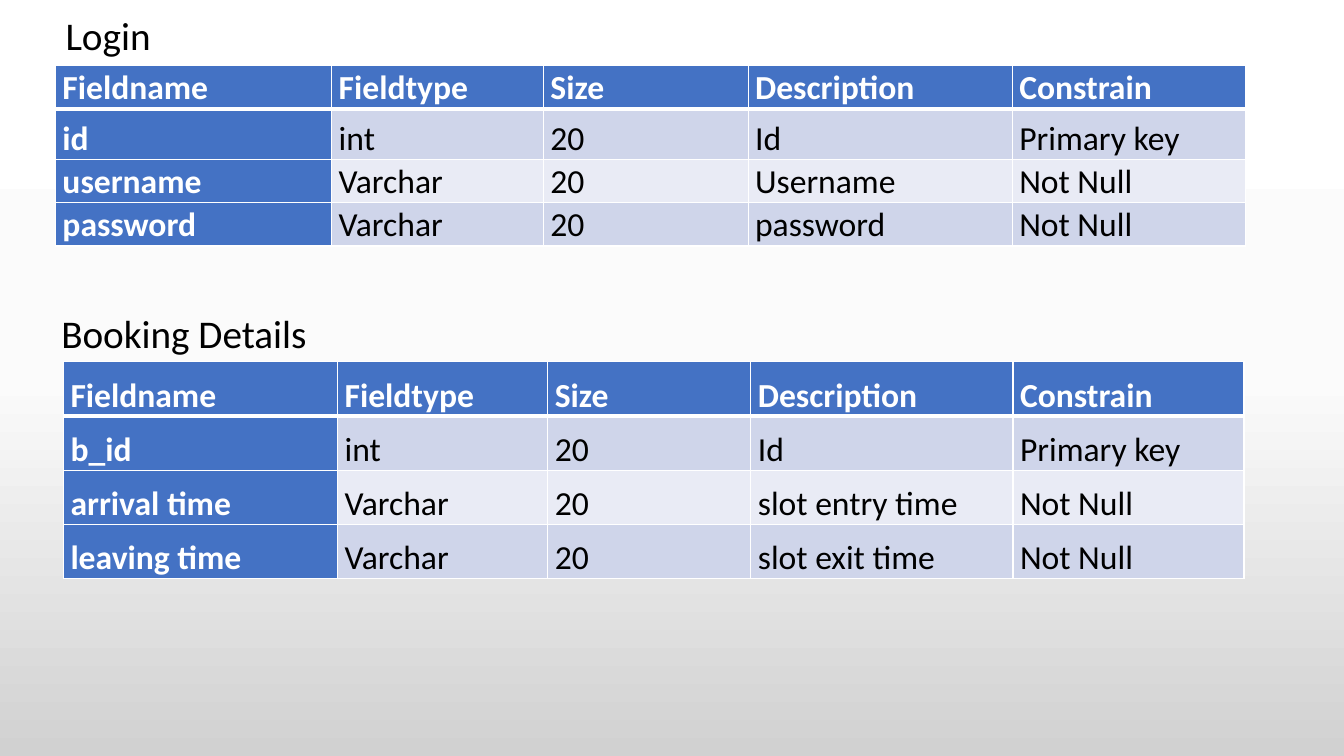
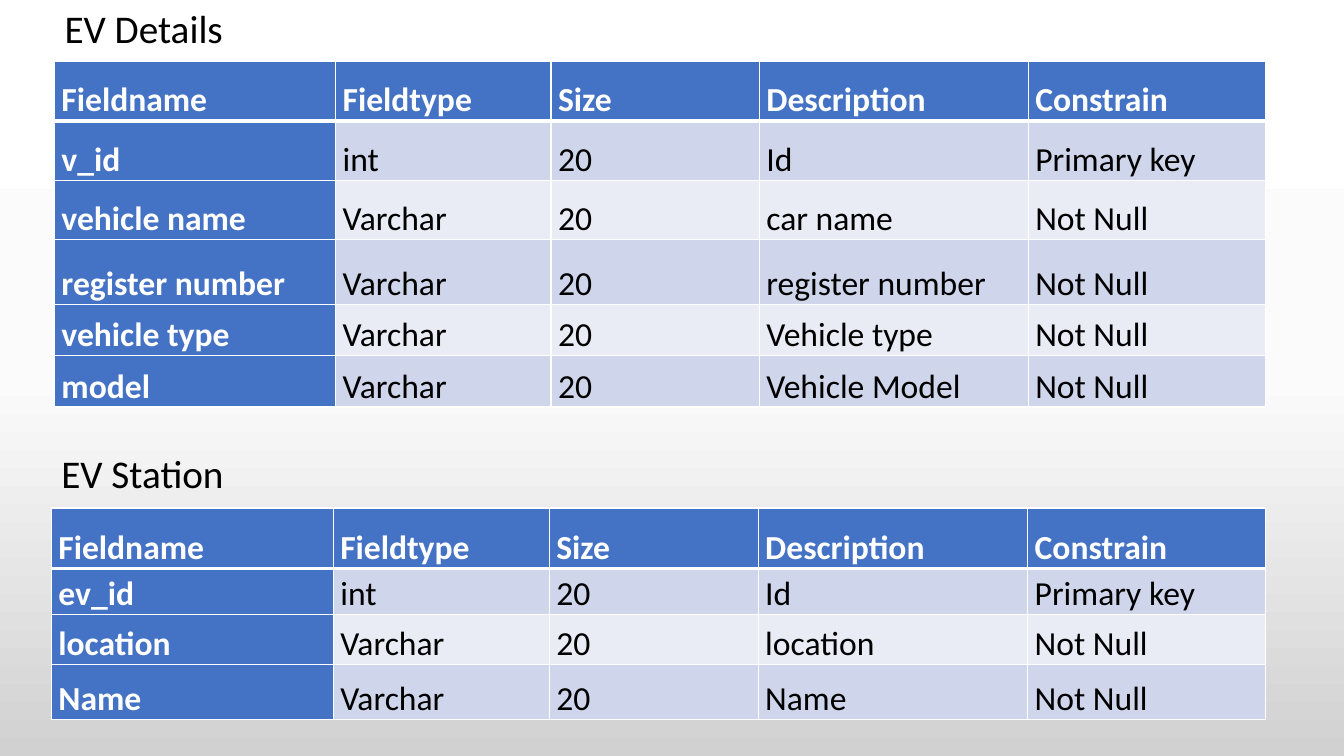
from copy import deepcopy

from pptx import Presentation
from pptx.dml.color import RGBColor
from pptx.enum.text import MSO_ANCHOR, MSO_AUTO_SIZE, PP_ALIGN
from pptx.oxml.ns import qn
from pptx.util import Inches, Pt
from lxml.etree import SubElement

FONT = "Calibri"
BLACK = RGBColor(0x00, 0x00, 0x00)
WHITE = RGBColor(0xFF, 0xFF, 0xFF)
BLUE = RGBColor(0x44, 0x72, 0xC4)
BAND_DARK = RGBColor(0xCF, 0xD5, 0xEA)
BAND_LIGHT = RGBColor(0xE9, 0xEB, 0xF5)
BACKGROUND = (
    (0, WHITE),
    (0.5, RGBColor(0xFB, 0xFB, 0xFB)),
    (1, RGBColor(0xD1, 0xD1, 0xD1)),
)
HEADER = ("Fieldname", "Fieldtype", "Size", "Description", "Constrain")
COLUMN_WEIGHTS = (2.74, 2.1, 2.03, 2.62, 2.31)
THIN, THICK = 1, 3

LOGIN = (("id", "Id"), ("username", "Username"), ("password", "password"))
BOOKING = (
    ("b_id", "Id"),
    ("arrival time", "slot entry time"),
    ("leaving time", "slot exit time"),
)
EV_DETAILS = (
    ("v_id", "Id"),
    ("vehicle name", "car name"),
    ("register number", "register number"),
    ("vehicle type", "Vehicle type"),
    ("model", "Vehicle Model"),
)
EV_STATION = (("ev_id", "Id"), ("location", "location"), ("Name", "Name"))


def set_background(master):
    fill = master.background.fill
    fill.gradient()
    fill.gradient_angle = 270
    stops = master.element.find(".//" + qn("a:gsLst"))
    stops.insert(1, deepcopy(stops[0]))
    for stop, (position, color) in zip(fill.gradient_stops, BACKGROUND):
        stop.position = position
        stop.color.rgb = color


def write_text(tf, text, size=24, color=BLACK, bold=False, spacing=None):
    p = tf.paragraphs[0]
    p.alignment = PP_ALIGN.LEFT
    p.line_spacing = spacing
    r = p.add_run()
    r.text = text
    r.font.name = FONT
    r.font.size = Pt(size)
    r.font.bold = bold
    r.font.color.rgb = color


def set_heading(sp, text, left, top, width, height):
    sp.left, sp.top = Inches(left), Inches(top)
    sp.width, sp.height = Inches(width), Inches(height)
    tf = sp.text_frame
    tf.word_wrap = True
    tf.auto_size = MSO_AUTO_SIZE.NONE
    tf.vertical_anchor = MSO_ANCHOR.MIDDLE
    write_text(tf, text, size=28, spacing=0.9)


def add_title(s, text, *box):
    set_heading(s.shapes.title, text, *box)


def add_heading(s, text, *box):
    set_heading(s.shapes.add_textbox(0, 0, 0, 0), text, *box)


def set_borders(cell, top, bottom):
    tc_pr = cell._tc.get_or_add_tcPr()
    for side, width in (("L", THIN), ("R", THIN), ("T", top), ("B", bottom)):
        line = SubElement(tc_pr, qn(f"a:ln{side}"), w=str(Pt(width)))
        fill = SubElement(line, qn("a:solidFill"))
        SubElement(fill, qn("a:srgbClr"), val=str(WHITE))


def format_cell(cell, text, row, col):
    emphasized = row == 0 or col == 0
    set_borders(cell, THICK if row == 1 else THIN, THICK if row == 0 else THIN)
    cell.fill.solid()
    band = BAND_DARK if row % 2 else BAND_LIGHT
    cell.fill.fore_color.rgb = BLUE if emphasized else band
    cell.vertical_anchor = MSO_ANCHOR.BOTTOM
    cell.margin_left = cell.margin_right = Inches(0.07)
    cell.margin_top = cell.margin_bottom = 0
    write_text(cell.text_frame, text, color=WHITE if emphasized else BLACK, bold=emphasized)


def field_rows(fields):
    rows = [HEADER]
    for i, (name, description) in enumerate(fields):
        kind, constrain = ("Varchar", "Not Null") if i else ("int", "Primary key")
        rows.append((name, kind, "20", description, constrain))
    return rows


def add_field_table(s, fields, left, top, width, heights):
    rows = field_rows(fields)
    table = s.shapes.add_table(
        len(rows), len(HEADER),
        Inches(left), Inches(top), Inches(width), Inches(sum(heights)),
    ).table
    for column, weight in zip(table.columns, COLUMN_WEIGHTS):
        column.width = Inches(width * weight / sum(COLUMN_WEIGHTS))
    for i, (values, height) in enumerate(zip(rows, heights)):
        table.rows[i].height = Inches(height)
        for j, text in enumerate(values):
            format_cell(table.cell(i, j), text, i, j)


def main():
    prs = Presentation()
    prs.slide_width, prs.slide_height = Inches(13.33), Inches(7.5)
    set_background(prs.slide_master)
    title_only = prs.slide_layouts[5]

    s = prs.slides.add_slide(title_only)
    add_title(s, "Login", 0.55, 0.05, 11.42, 0.65)
    add_field_table(s, LOGIN, 0.55, 0.65, 11.8, (0.43, 0.5, 0.43, 0.43))
    add_heading(s, "Booking Details", 0.51, 3.07, 11.5, 0.52)
    add_field_table(s, BOOKING, 0.63, 3.59, 11.71, (0.54, 0.54, 0.53, 0.54))

    s = prs.slides.add_slide(title_only)
    add_title(s, "EV Details", 0.54, 0, 11.71, 0.61)
    add_field_table(s, EV_DETAILS, 0.54, 0.61, 12.01, (0.59, 0.59, 0.59, 0.64, 0.51, 0.51))
    add_heading(s, "EV Station", 0.51, 4.41, 12.04, 0.63)
    add_field_table(s, EV_STATION, 0.51, 5.04, 12.04, (0.6, 0.46, 0.49, 0.55))

    prs.save("out.pptx")


if __name__ == "__main__":
    main()
